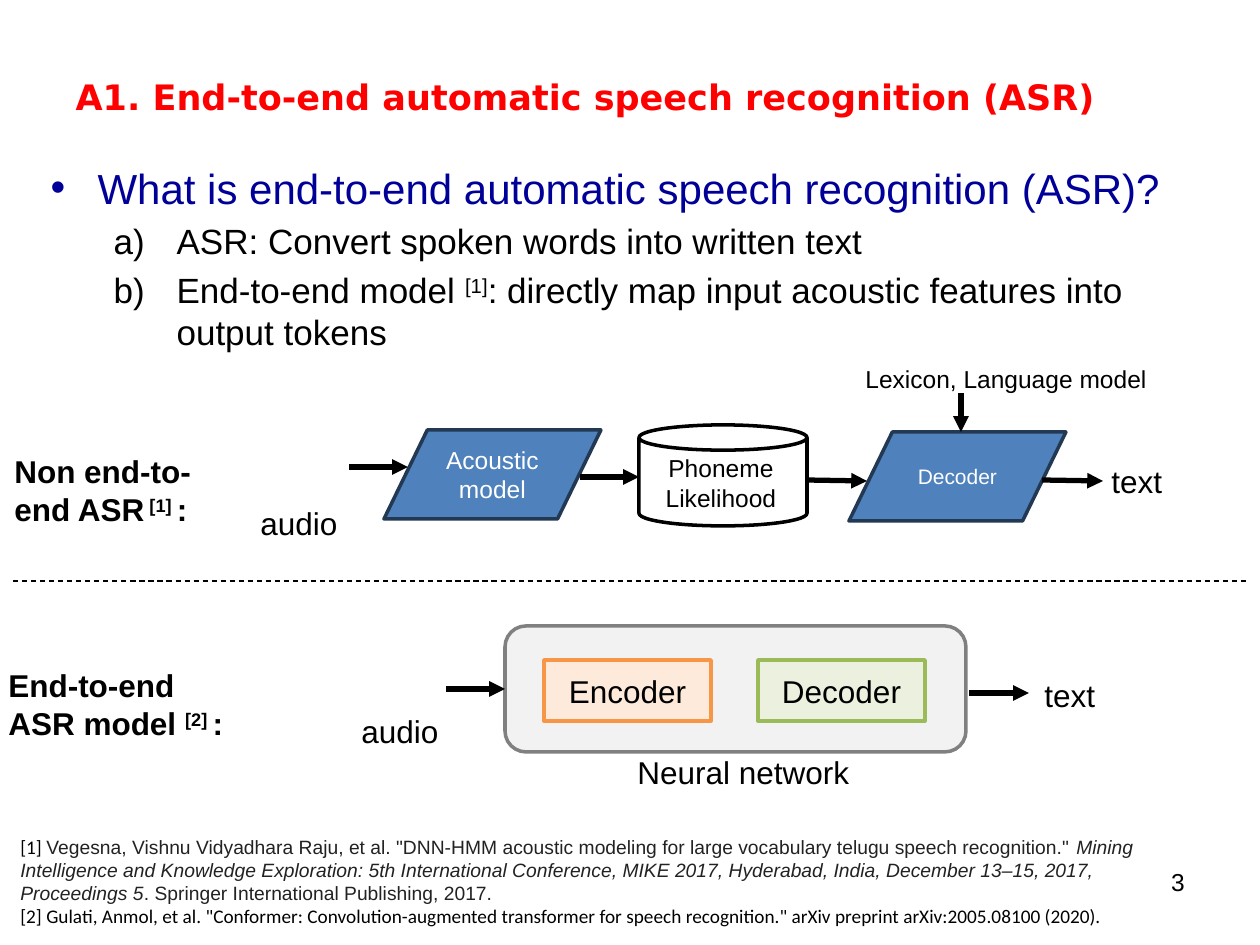
from lxml import etree
from pptx import Presentation
from pptx.dml.color import RGBColor
from pptx.enum.dml import MSO_LINE_DASH_STYLE as Dash
from pptx.enum.shapes import MSO_CONNECTOR as Connector, MSO_SHAPE as Shape
from pptx.enum.text import MSO_ANCHOR as Anchor, PP_ALIGN as Align
from pptx.oxml.ns import qn
from pptx.util import Emu, Pt

EMU_PER_PX = 914400 / 126
LEFT, CENTER, RIGHT = Align.LEFT, Align.CENTER, Align.RIGHT
BLACK, WHITE, BLUE = "000000", "FFFFFF", "4F81BD"

# Content: a paragraph is a list of (text, format) runs
SUPER = {"superscript": True}
BOLD = {"bold": True}
BOLD_SUPER = {**BOLD, **SUPER}
CITED = {"name": "Arial", "color": "222222"}

TITLE = [("A1. End-to-end automatic speech recognition (ASR)",
          {"name": "DejaVu Sans", "size": 20, "color": "FF0000", "bold": True})]
QUESTION = [("What is end-to-end automatic speech recognition (ASR)?",
             {"size": 24, "color": "000099"})]
ANSWERS = [
    [("ASR: Convert spoken words into written text", {})],
    [("End-to-end model ", {}), ("[1]", SUPER),
     (": directly map input acoustic features into output tokens", {})],
]
REFERENCES = [
    [("[1] ", {}),
     ('Vegesna, Vishnu Vidyadhara Raju, et al. "DNN-HMM acoustic modeling for large '
      'vocabulary telugu speech recognition." ', CITED),
     ("Mining Intelligence and Knowledge Exploration: 5th International Conference, "
      "MIKE 2017, Hyderabad, India, December 13–15, 2017, Proceedings 5",
      {**CITED, "italic": True}),
     (". Springer International Publishing, 2017.", CITED)],
    [('[2] Gulati, Anmol, et al. "Conformer: Convolution-augmented transformer for speech '
      'recognition." arXiv preprint arXiv:2005.08100 (2020).', {})],
]
ROW_LABELS = [  # box, runs
    ((2, 446, 213, 117), [("Non end-to-end ASR", BOLD), (" [1] ", BOLD_SUPER), (":", BOLD)]),
    ((-4, 660, 258, 72), [("End-to-end ASR model ", BOLD), ("[2] ", BOLD_SUPER), (":", BOLD)]),
]
# Preset, box, fill, line, text, size, text colour
NODES = [
    (Shape.FLOWCHART_DATA, (384, 430, 217, 89), BLUE, "233953", "Acoustic model", 14, WHITE),
    (Shape.FLOWCHART_DATA, (849, 432, 217, 89), BLUE, "233953", "Decoder", 12, WHITE),
    (Shape.CAN, (639, 425, 168, 101), None, BLACK, "", 14, BLACK),
    (Shape.ROUNDED_RECTANGLE, (505, 626, 461, 126), "F2F2F2", "808080", "", 18, BLACK),
    (Shape.RECTANGLE, (544, 660, 167, 61), "FDEADA", "F79646", "Encoder", 18, BLACK),
    (Shape.RECTANGLE, (758, 660, 167, 61), "EBF1DE", "9BBB59", "Decoder", 18, BLACK),
]
# Box, lines of text, size, alignment
LABELS = [
    ((248, 498, 103, 50), ["audio"], 18, LEFT),
    ((349, 706, 103, 50), ["audio"], 18, LEFT),
    ((1099, 456, 77, 50), ["text"], 18, LEFT),
    ((1032, 670, 77, 50), ["text"], 18, LEFT),
    ((653, 447, 136, 72), ["Phoneme", "Likelihood"], 14, CENTER),
    ((853, 358, 307, 43), ["Lexicon, Language model"], 14, LEFT),
    ((625, 747, 239, 50), ["Neural network"], 18, LEFT),
]
ARROWS = [  # x1, y1, x2, y2
    (349, 467, 408, 467), (580, 477, 639, 477), (806, 480, 867, 481),
    (1042, 480, 1103, 481), (961, 393, 961, 432),
    (446, 689, 505, 689), (969, 693, 1029, 693),
]
DIVIDER = (13, 581, 1247, 581)


def px(*values):
    return [Emu(round(value * EMU_PER_PX)) for value in values]


def rgb(color):
    return RGBColor.from_string(color)


def write(paragraph, runs, align=LEFT, **defaults):
    paragraph.alignment = align
    for text, own in runs:
        style = {"name": "Arial", "size": 18, "color": BLACK, **defaults, **own}
        run = paragraph.add_run()
        run.text = text
        run.font.color.rgb = rgb(style.pop("color"))
        style["size"] = Pt(style["size"])
        if style.pop("superscript", False):
            run._r.get_or_add_rPr().set("baseline", "30000")
        for key, value in style.items():
            setattr(run.font, key, value)


def write_all(frame, paragraphs, **style):
    for index, runs in enumerate(paragraphs):
        paragraph = frame.add_paragraph() if index else frame.paragraphs[0]
        write(paragraph, runs, **style)


def place(shape, box):
    for key, value in zip(("left", "top", "width", "height"), px(*box)):
        setattr(shape, key, value)


def set_indent(paragraph, margin, hanging=0):
    properties = paragraph._p.get_or_add_pPr()
    for key, value in zip(("marL", "indent"), px(margin, -hanging)):
        properties.set(key, str(value))
    return properties


def add_bullet(paragraph, margin, hanging, tag, **attributes):
    properties = set_indent(paragraph, margin, hanging)
    etree.SubElement(properties, qn("a:buFont"), typeface="Arial")
    etree.SubElement(properties, qn(tag), **attributes)


def add_text(slide, box, paragraphs, wrap=True, **style):
    frame = slide.shapes.add_textbox(*px(*box)).text_frame
    frame.word_wrap = wrap
    write_all(frame, paragraphs, **style)


def add_shape(slide, preset, box, fill, line=None):
    shape = slide.shapes.add_shape(preset, *px(*box))
    shape.shadow.inherit = False
    if fill:
        shape.fill.solid()
        shape.fill.fore_color.rgb = rgb(fill)
    else:
        shape.fill.background()
    if line:
        shape.line.color.rgb = rgb(line)
        shape.line.width = Pt(2)
    else:
        shape.line.fill.background()
    return shape


def add_line(slide, ends, width):
    connector = slide.shapes.add_connector(Connector.STRAIGHT, *px(*ends))
    connector.line.color.rgb = rgb(BLACK)
    connector.line.width = Pt(width)
    etree.SubElement(connector._element.spPr, qn("a:effectLst"))
    return connector.line


def main():
    presentation = Presentation()
    presentation.slide_width, presentation.slide_height = px(1260, 945)
    slide = presentation.slides.add_slide(presentation.slide_layouts[1])

    # Title and list
    title, body = slide.placeholders
    place(title, (63, 39, 1134, 115))
    title.text_frame.vertical_anchor = Anchor.MIDDLE
    write(title.text_frame.paragraphs[0], TITLE)
    place(body, (38, 156, 1184, 651))
    question = body.text_frame.paragraphs[0]
    add_bullet(question, 47, 47, "a:buChar", char="•")
    question.space_before = Pt(0)
    write(question, QUESTION)
    for runs in ANSWERS:
        answer = body.text_frame.add_paragraph()
        answer.level = 1
        add_bullet(answer, 126, 63, "a:buAutoNum", type="alphaLcParenR")
        write(answer, runs, size=20)

    # References and page number
    references = add_shape(slide, Shape.RECTANGLE, (0, 829, 1157, 106), WHITE).text_frame
    references.vertical_anchor = Anchor.TOP
    write_all(references, REFERENCES, name="Calibri", size=11)
    for paragraph in references.paragraphs:
        set_indent(paragraph, 8)
    add_text(slide, (903, 861, 294, 66), [[("3", {})]], size=14, align=RIGHT)

    # Diagram nodes and labels
    for preset, box, fill, line, text, size, color in NODES:
        frame = add_shape(slide, preset, box, fill, line).text_frame
        frame.vertical_anchor = Anchor.MIDDLE
        if text:
            write_all(frame, [[(text, {})]], align=CENTER, size=size, color=color)
    for box, runs in ROW_LABELS:
        add_text(slide, box, [runs])
    for box, lines, size, align in LABELS:
        add_text(slide, box, [[(line, {})] for line in lines], wrap=False,
                 size=size, align=align)

    # Arrows and divider
    for ends in ARROWS:
        line = add_line(slide, ends, 3)
        etree.SubElement(line._get_or_add_ln(), qn("a:tailEnd"), type="triangle")
    add_line(slide, DIVIDER, 0.75).dash_style = Dash.DASH

    presentation.save("out.pptx")


if __name__ == "__main__":
    main()
